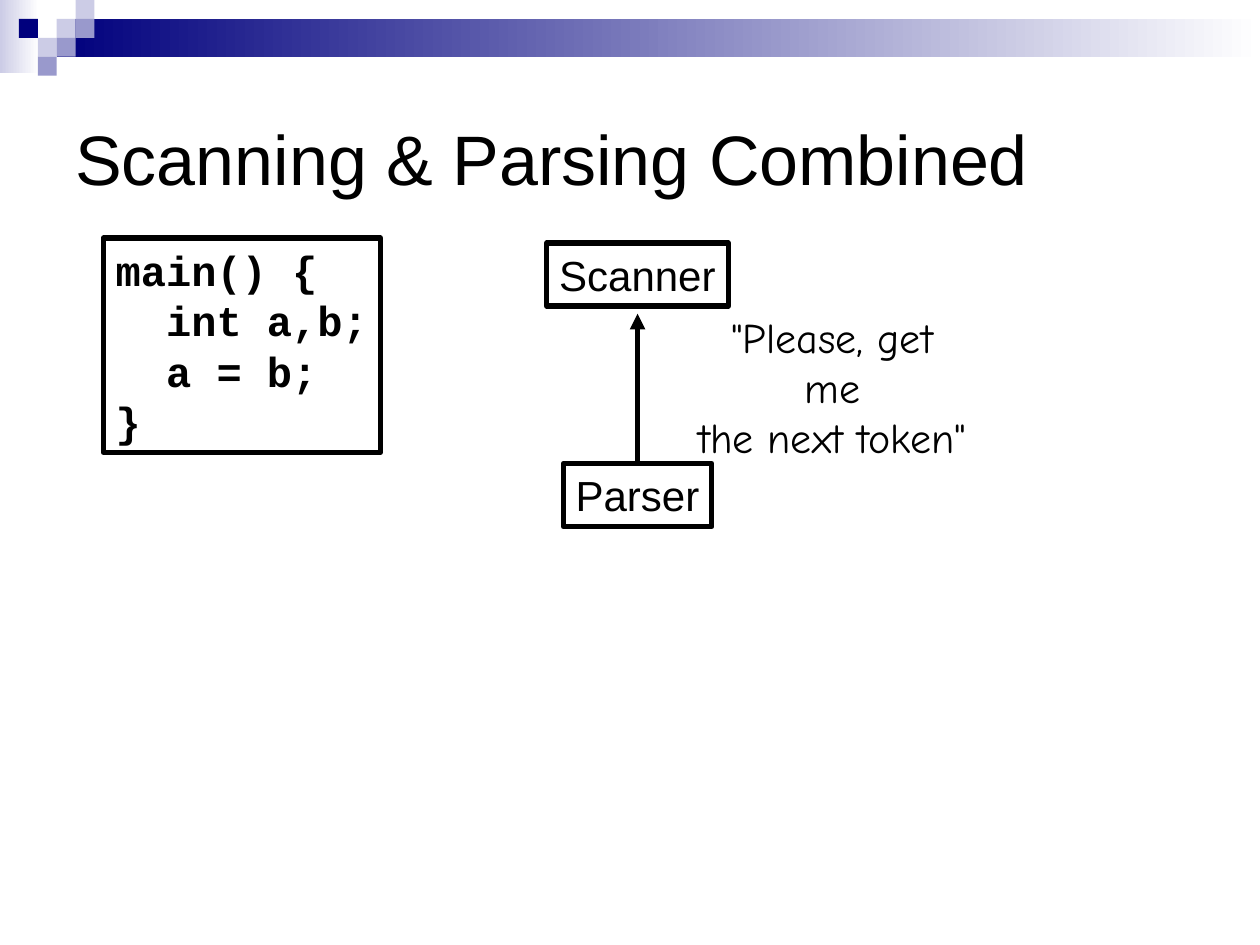
from pptx import Presentation
from pptx.dml.color import RGBColor
from pptx.enum.shapes import MSO_CONNECTOR, MSO_SHAPE
from pptx.enum.text import MSO_ANCHOR, PP_ALIGN
from pptx.oxml.ns import qn
from pptx.util import Inches, Pt
from lxml import etree

RECT = MSO_SHAPE.RECTANGLE
LINE = MSO_CONNECTOR.STRAIGHT
MID = MSO_ANCHOR.MIDDLE
LEFT, MIDST = PP_ALIGN.LEFT, PP_ALIGN.CENTER
BLACK = RGBColor(0, 0, 0)
WHITE = RGBColor(255, 255, 255)
NAVY = RGBColor(0, 0, 0x7D)
LILAC = RGBColor(0xCC, 0xCC, 0xE6)
MAUVE = RGBColor(0x99, 0x99, 0xCC)

deck = Presentation()
deck.slide_width, deck.slide_height = Inches(10), Inches(7.5)
slide = deck.slides.add_slide(deck.slide_layouts[6])
shapes = slide.shapes


def block(x, y, w, h, *tints):
    """Add a plain rectangle: no tint is clear, two tints make a gradient."""
    box = shapes.add_shape(RECT, Inches(x), Inches(y), Inches(w), Inches(h))
    box.shadow.inherit = False
    box.line.fill.background()
    if len(tints) == 2:
        box.fill.gradient()
        box.fill.gradient_angle = 0
        for stop, tint in zip(box.fill.gradient_stops, tints):
            stop.color.rgb = tint
    elif tints:
        box.fill.solid()
        box.fill.fore_color.rgb = tints[0]
    else:
        box.fill.background()
    return box


def write(box, text, font="Arial", size=24, bold=False, align=LEFT,
          wrap=False, pitch=1.2):
    """Put lines of text in a box, spaced by a multiple of the size."""
    frame = box.text_frame
    frame.word_wrap = wrap
    frame.vertical_anchor = MID
    frame.text = text
    for para in frame.paragraphs:
        para.alignment = align
        para.line_spacing = Pt(size * pitch)
        para.font.name, para.font.size = font, Pt(size)
        para.font.bold, para.font.color.rgb = bold, BLACK


# Top band and its mosaic of small squares
UNIT = 0.15
block(0, 0, 0.31, 0.58, LILAC, WHITE)
block(3 * UNIT, UNIT, 10 - 3 * UNIT, 2 * UNIT, NAVY, WHITE)
tiles = [(3, 1, LILAC), (4, 0, LILAC), (4, 1, MAUVE), (2, 2, LILAC),
         (1, 1, NAVY), (3, 2, MAUVE), (2, 3, MAUVE)]
for col, row, tint in tiles:
    block(col * UNIT, row * UNIT, UNIT, UNIT, tint)

# Title
title = shapes.add_textbox(Inches(0.5), Inches(0.5), Inches(9), Inches(1.5))
write(title, "Scanning & Parsing Combined", size=40, wrap=True)

# Framed boxes: source code and the two stages
code = "main() {\n  int a,b;\n  a = b;\n}"
frames = [(0.82, 1.89, 2.2, 1.7, code, "Courier New", True),
          (4.34, 1.93, 1.44, 0.5, "Scanner", "Arial", False),
          (4.47, 3.68, 1.18, 0.5, "Parser", "Arial", False)]
for x, y, w, h, text, font, bold in frames:
    box = block(x, y, w, h)
    box.line.color.rgb, box.line.width = BLACK, Pt(3)
    write(box, text, font=font, bold=bold)
parser = box

# Request arrow, stopping just short of the scanner
arrow = shapes.add_connector(LINE, Inches(5.06), Inches(3.68),
                             Inches(5.06), Inches(2.49))
arrow.begin_connect(parser, 0)
arrow.line.color.rgb, arrow.line.width = BLACK, Pt(3)
etree.SubElement(arrow.line._get_or_add_ln(), qn("a:tailEnd"), type="triangle")
etree.SubElement(arrow._element.spPr, qn("a:effectLst"))

# What the parser asks
quote = shapes.add_textbox(Inches(5.43), Inches(2.62), Inches(2.35), Inches(0.9))
write(quote, '"Please, get me\nthe next token"', font="Comic Neue", align=MIDST)

deck.save("out.pptx")
